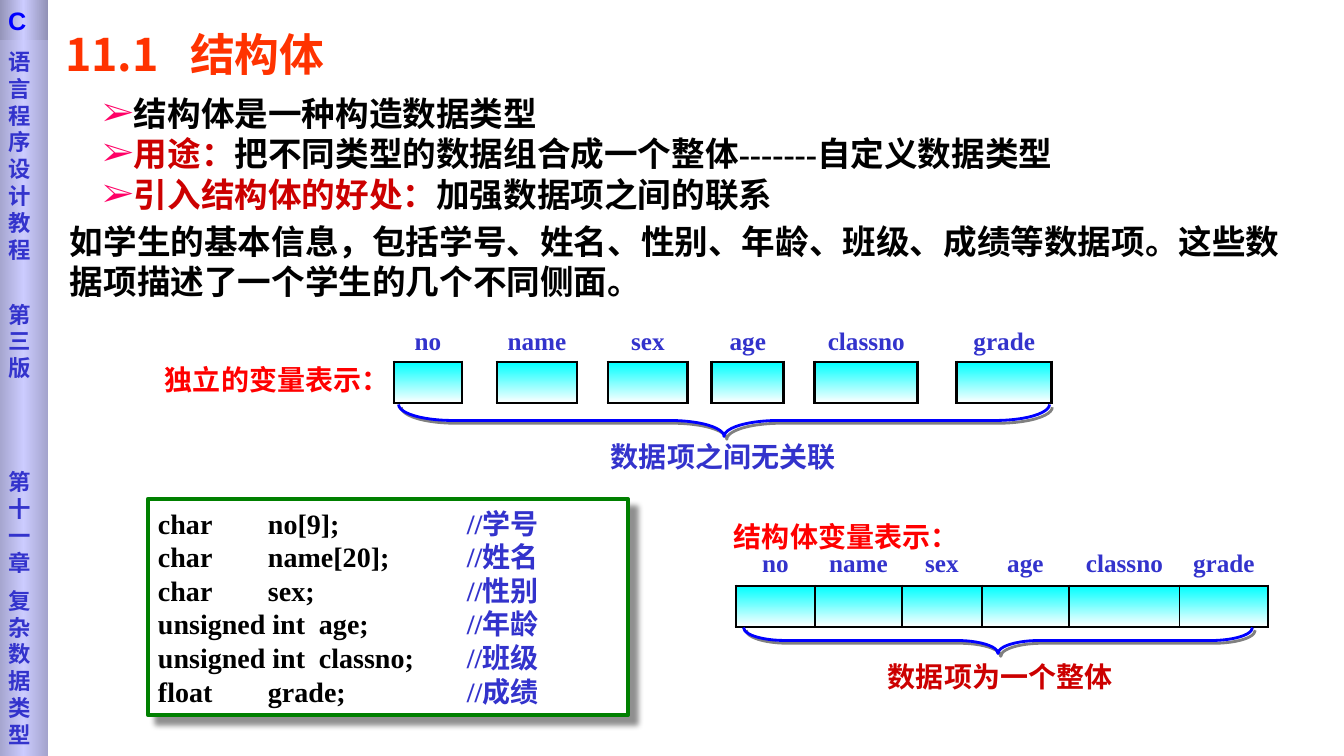
"""Build the slide that introduces structures in C."""
from copy import deepcopy

from lxml import etree
from pptx import Presentation
from pptx.dml.color import RGBColor
from pptx.enum.shapes import MSO_SHAPE
from pptx.enum.text import MSO_ANCHOR, PP_ALIGN
from pptx.oxml.ns import qn
from pptx.util import Emu, Pt

RECT, BRACE = MSO_SHAPE.RECTANGLE, MSO_SHAPE.RIGHT_BRACE
TOP, LEFT, CENTER = MSO_ANCHOR.TOP, PP_ALIGN.LEFT, PP_ALIGN.CENTER

BLACK = RGBColor(0, 0, 0)
WHITE = RGBColor(255, 255, 255)
ORANGE = RGBColor(0xFF, 0x33, 0x00)
RED = RGBColor(0xFF, 0, 0)
WINE = RGBColor(0xCC, 0, 0)
PINK = RGBColor(0xFF, 0, 0x66)
INDIGO = RGBColor(0x33, 0x33, 0xCC)
BLUE = RGBColor(0, 0, 0xFF)
GREEN = RGBColor(0, 0x80, 0)
CYAN = RGBColor(0, 0xFF, 0xFF)
GRAY = RGBColor(0x80, 0x80, 0x80)
LILAC = RGBColor(0xCC, 0xCC, 0xFF)
DUSK = RGBColor(0xA4, 0xA4, 0xCD)
SLATE = RGBColor(0x92, 0x92, 0xB6)

SERIF, SANS, HAN, SIDE = "Times New Roman", "Arial", "Noto Sans CJK SC", "DejaVu Sans"
PLAIN = "{2D5ABB26-0587-4C30-8999-92F81FD0307C}"
THICK, THIN = 2.25, 1

TITLE = [[("11.1\t结构体", ORANGE)]]
POINTS = [
    [("结构体是一种构造数据类型", BLACK)],
    [("用途：", WINE), ("把不同类型的数据组合成一个整体-------自定义数据类型", BLACK)],
    [("引入结构体的好处：", WINE), ("加强数据项之间的联系", BLACK)],
]
INTRO = [[("如学生的基本信息，包括学号、姓名、性别、年龄、班级、成绩等数据项。"
           "这些数据项描述了一个学生的几个不同侧面。", BLACK)]]
LABELS = [
    ("独立的变量表示：", 165, 362, RED, SERIF),
    ("数据项之间无关联", 611, 439, INDIGO, HAN),
    ("结构体变量表示：", 734, 519, RED, SERIF),
    ("数据项为一个整体", 888, 659, WINE, HAN),
]
FIELDS = ["no", "name", "sex", "age", "classno", "grade"]
APART = [68, 35, 80, 31, 80, 24, 72, 31, 103, 39, 95]
JOINED = [79, 87, 80, 87, 111, 88]
BRACES = [(708, 95, 32, 651, 1.7), (985, 386, 26, 509, 1.6)]
CODE = [
    ("char", "no[9];", "//学号"),
    ("char", "name[20];", "//姓名"),
    ("char", "sex;", "//性别"),
    ("unsigned int", "age;", "//年龄"),
    ("unsigned int", "classno;", "//班级"),
    ("float", "grade;", "//成绩"),
]
SPINE = [("语言程序设计教程", 0), ("第三版", 27), ("第十一章", 62), ("复杂数据类型", 8)]


def px(num):
    return Emu(round(num * 914400 / 100.8))


def put(obj, vals):
    for key, val in vals.items():
        setattr(obj, key, val)


def sub(node, tag, **vals):
    return etree.SubElement(node, qn(tag), {k: str(v) for k, v in vals.items()})


def write(frame, paras, size, font, align=LEFT):
    for num, runs in enumerate(paras):
        para = frame.add_paragraph() if num else frame.paragraphs[0]
        put(para, {"alignment": align, "line_spacing": Pt(size * 1.2)})
        for text, color in runs:
            run = para.add_run()
            run.text = text
            put(run.font, {"size": Pt(size), "bold": True, "name": font})
            run.font.color.rgb = color
            sub(run.font._element, "a:ea", typeface=HAN)
    return frame.paragraphs


def pad(frame, left=0, top=0, right=0, wrap=True):
    put(frame, {"margin_left": px(left), "margin_top": px(top), "margin_right": px(right),
                "margin_bottom": 0, "word_wrap": wrap, "vertical_anchor": TOP})


def label(paras, box, size, font, wrap=True):
    frame = slide.shapes.add_textbox(*map(px, box)).text_frame
    pad(frame, wrap=wrap)
    return write(frame, paras, size, font)


def shape(kind, box):
    item = slide.shapes.add_shape(kind, *map(px, box))
    item.shadow.inherit = False
    return item


def shade(item, color, alpha, blur, dist):
    node = sub(item._element.spPr.find(qn("a:effectLst")), "a:outerShdw", blurRad=Pt(blur),
               dist=Pt(dist), dir=45 * 60000, algn="tl", rotWithShape=0)
    sub(sub(node, "a:srgbClr", val=color), "a:alpha", val=alpha * 1000)


def blend(fill, root, colors, angle):
    fill.gradient()
    fill.gradient_angle = angle
    stops = root.find(".//" + qn("a:gsLst"))
    while len(stops) < len(colors):
        stops.append(deepcopy(stops[-1]))
    for num, (stop, color) in enumerate(zip(fill.gradient_stops, colors)):
        stop.color.rgb = color
        stop.position = num / (len(colors) - 1)


def tabs(para, spots):
    node = sub(para._p.get_or_add_pPr(), "a:tabLst")
    for spot in spots:
        sub(node, "a:tab", pos=px(spot), algn="l")


def edge(cell, sides):
    prop = cell._tc.get_or_add_tcPr()
    for num, (side, width) in enumerate(sides.items()):
        line = etree.Element(qn("a:ln" + side), {"w": str(Pt(width))})
        sub(sub(line, "a:solidFill"), "a:srgbClr", val=BLACK)
        prop.insert(num, line)


def grid(x, y, widths, heights, step):
    area = slide.shapes.add_table(2, len(widths), px(x), px(y), px(sum(widths)), px(sum(heights)))
    table = area.table
    area._element.find(".//" + qn("a:tableStyleId")).text = PLAIN
    put(table, {"first_row": False, "horz_banding": False})
    for row, high in zip(table.rows, heights):
        row.height = px(high)
    for col, wide in enumerate(widths):
        table.columns[col].width = px(wide)
        head, body = table.cell(0, col), table.cell(1, col)
        for cell in (head, body):
            put(cell, {"margin_left": 0, "margin_right": 0, "margin_top": px(3), "margin_bottom": 0})
            cell.fill.background()
            cell.text_frame.paragraphs[0].font.size = Pt(12)
        if col % step:
            edge(body, {"L": THICK, "R": THICK})
            continue
        write(head.text_frame, [[(FIELDS[col // step], INDIGO)]], 18, SERIF, CENTER)
        edge(head, {"B": THICK})
        blend(body.fill, body._tc, [CYAN, WHITE], 270)
        inner = THICK if step > 1 else THIN
        edge(body, {"L": inner if col else THICK,
                    "R": inner if col < len(widths) - 1 else THICK,
                    "T": THICK, "B": THICK})


def panel(box, colors):
    item = shape(RECT, box)
    blend(item.fill, item._element, colors, 0)
    item.line.fill.background()
    return item.text_frame


deck = Presentation()
put(deck, {"slide_width": px(1344), "slide_height": px(756)})
slide = deck.slides.add_slide(deck.slide_layouts[6])

tabs(label(TITLE, (65, 27, 530, 60), 32, HAN)[0], [125])

for para in label(POINTS, (103, 93, 1180, 122), 24, SERIF):
    prop = para._p.get_or_add_pPr()
    put(prop, {"marL": px(35), "indent": px(-35)})
    sub(sub(prop, "a:buClr"), "a:srgbClr", val=PINK)
    sub(prop, "a:buFont", typeface=SERIF)
    sub(prop, "a:buChar", char="➢")

label(INTRO, (70, 221, 1227, 82), 24, SERIF)[0]._p.get_or_add_pPr().indent = px(61)

grid(394, 323, APART, [39, 41], 2)
grid(736, 545, JOINED, [41, 41], 1)

for *box, bend in BRACES:
    brace = shape(BRACE, box)
    brace.rotation = 90
    brace.adjustments[0] = bend
    brace.fill.background()
    brace.line.color.rgb = BLUE
    brace.line.width = Pt(2)
    shade(brace, GRAY, 100, 0, 2.8)

for text, x, y, color, font in LABELS:
    label([[(text, color)]], (x, y, 240, 34), 20, font, False)

block = shape(RECT, (148, 499, 480, 216))
block.fill.solid()
block.fill.fore_color.rgb = WHITE
block.line.color.rgb = GREEN
block.line.width = Pt(3)
shade(block, BLACK, 43, 4, 8.4)
pad(block.text_frame, 10, 7)
lines = [[(f"{kind}\t{name}\t", BLACK), (note, INDIGO)] for kind, name, note in CODE]
for para, (kind, *_) in zip(write(block.text_frame, lines, 20, SERIF), CODE):
    tabs(para, [161 if " " in kind else 110, 309])

spine = panel((-1, 0, 49, 756), [DUSK, LILAC, DUSK])
pad(spine, 9, 48, 9)
for para, (_, gap) in zip(write(spine, [[(text, INDIGO)] for text, _ in SPINE], 16, SIDE), SPINE):
    para.space_before = Pt(gap)

badge = panel((-1, 0, 49, 40), [SLATE, LILAC, SLATE])
pad(badge, 9, 5, 9)
write(badge, [[("C", BLUE)]], 18, SANS)

deck.save("out.pptx")
